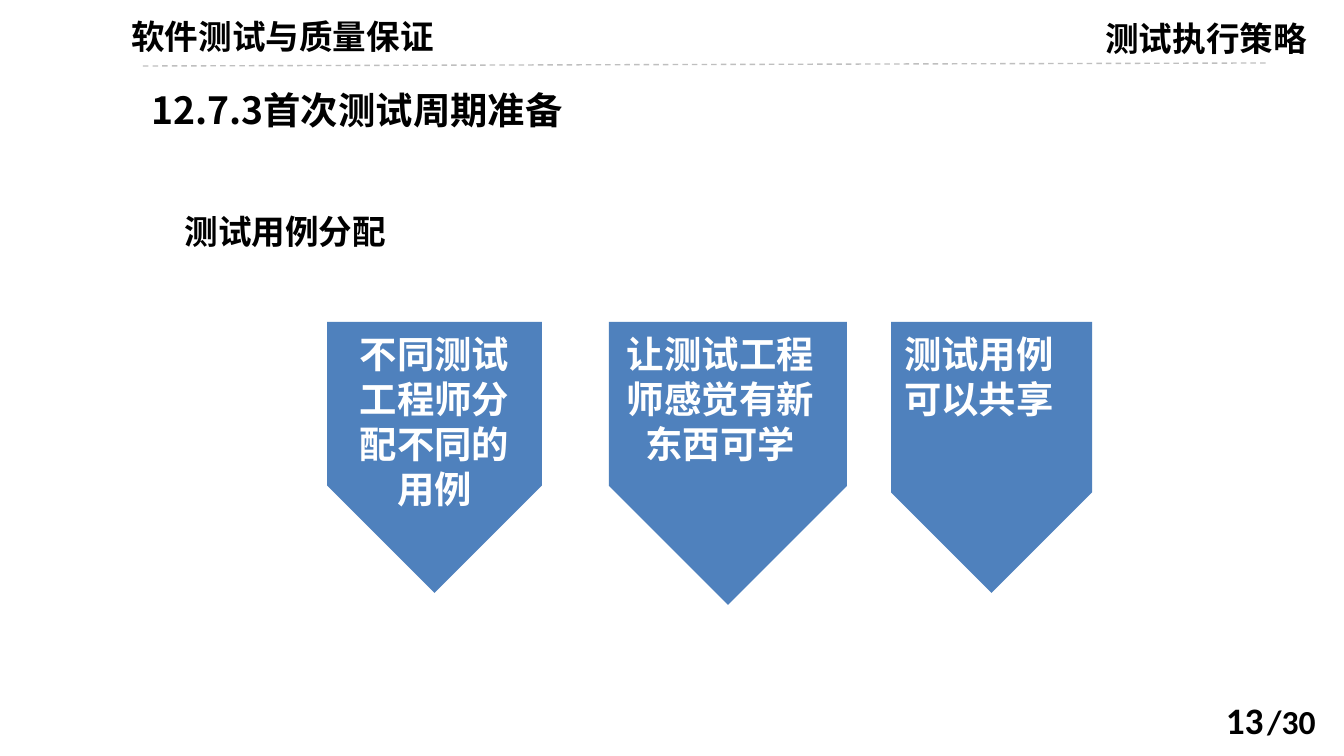
import pptx
import pptx.util
import pptx.dml.color
import pptx.enum.dml
import pptx.enum.shapes
import pptx.enum.text
import pptx.oxml
import pptx.oxml.ns

PIXEL = 914400 / 134.4
CJK_FONT = "Noto Sans CJK SC"
ALIGN = pptx.enum.text.PP_ALIGN
ANCHOR = pptx.enum.text.MSO_ANCHOR


def color(hex_value):
    """Turn a hex string into a colour."""
    return pptx.dml.color.RGBColor.from_string(hex_value)


def add_text(box, text, size, font_name, hex_value="000000", align=ALIGN.LEFT,
             anchor=ANCHOR.TOP, wrap=True):
    """Add a bold text box at a pixel box and return its paragraph."""
    shape = slide.shapes.add_textbox(*[round(value * PIXEL) for value in box])
    frame = shape.text_frame
    frame.word_wrap = wrap
    frame.vertical_anchor = anchor
    paragraph = frame.paragraphs[0]
    paragraph.alignment = align
    run = paragraph.add_run()
    run.text = text
    run.font.size = pptx.util.Pt(size)
    run.font.bold = True
    run.font.name = font_name
    run.font.color.rgb = color(hex_value)
    east_asian = pptx.oxml.parse_xml(
        f'<a:ea {pptx.oxml.ns.nsdecls("a")} typeface="{CJK_FONT}"/>')
    run.font._element.find(pptx.oxml.ns.qn("a:latin")).addnext(east_asian)
    return paragraph


presentation = pptx.Presentation()
presentation.slide_width = round(1344 * PIXEL)
presentation.slide_height = round(756 * PIXEL)
slide = presentation.slides.add_slide(presentation.slide_layouts[6])

# Header
add_text((83, 9, 399, 54), "软件测试与质量保证", 18, CJK_FONT, align=ALIGN.CENTER)
add_text((1092, 11, 243, 54), "测试执行策略", 18, "Calibri")
divider = slide.shapes.add_connector(
    pptx.enum.shapes.MSO_CONNECTOR.STRAIGHT,
    *[round(value * PIXEL) for value in (143, 66, 1269, 63)])
divider.line.color.rgb = color("BFBFBF")
divider.line.width = pptx.util.Pt(0.75)
divider.line.dash_style = pptx.enum.dml.MSO_LINE.DASH
divider._element.spPr.append(
    pptx.oxml.parse_xml(f'<a:effectLst {pptx.oxml.ns.nsdecls("a")}/>'))

# Headings
add_text((119, 81, 476, 59), "12.7.3首次测试周期准备", 20, CJK_FONT, align=ALIGN.CENTER)
subheading = add_text((104, 204, 297, 54), "测试用例分配", 18, "Calibri", wrap=False)
subheading._p.get_or_add_pPr().set("marL", str(pptx.util.Inches(0.5)))

# Downward arrows: left, width, height, then text left, width, height
ARROW_TOP = 322
TEXT_TOP = 325
arrows = [
    (327, 215, 271, 333, 203, 239, "不同测试工程师分配不同的 用例", ALIGN.CENTER),
    (609, 238, 283, 609, 223, 195, "让测试工程师感觉有新东西可学", ALIGN.CENTER),
    (891, 201, 271, 891, 203, 103, "测试用例可以共享", ALIGN.LEFT),
]
for left, width, height, text_left, text_width, text_height, text, align in arrows:
    # The pentagon is turned a quarter, so its frame swaps width and height
    offset = (width - height) / 2
    frame_box = (left + offset, ARROW_TOP - offset, height, width)
    arrow = slide.shapes.add_shape(
        pptx.enum.shapes.MSO_SHAPE.PENTAGON,
        *[round(value * PIXEL) for value in frame_box])
    arrow.rotation = 90
    arrow.adjustments[0] = 0.5
    arrow.shadow.inherit = False
    arrow.fill.solid()
    arrow.fill.fore_color.rgb = color("4F81BD")
    arrow.line.fill.background()
    add_text((text_left, TEXT_TOP, text_width, text_height), text, 20, "Arial",
             "FFFFFF", align)

# Page number
add_text((964, 700, 313, 40), "13", 20, "Calibri", align=ALIGN.RIGHT,
         anchor=ANCHOR.MIDDLE)
add_text((1254, 694, 89, 54), "/30", 18, "Calibri")

presentation.save("out.pptx")
